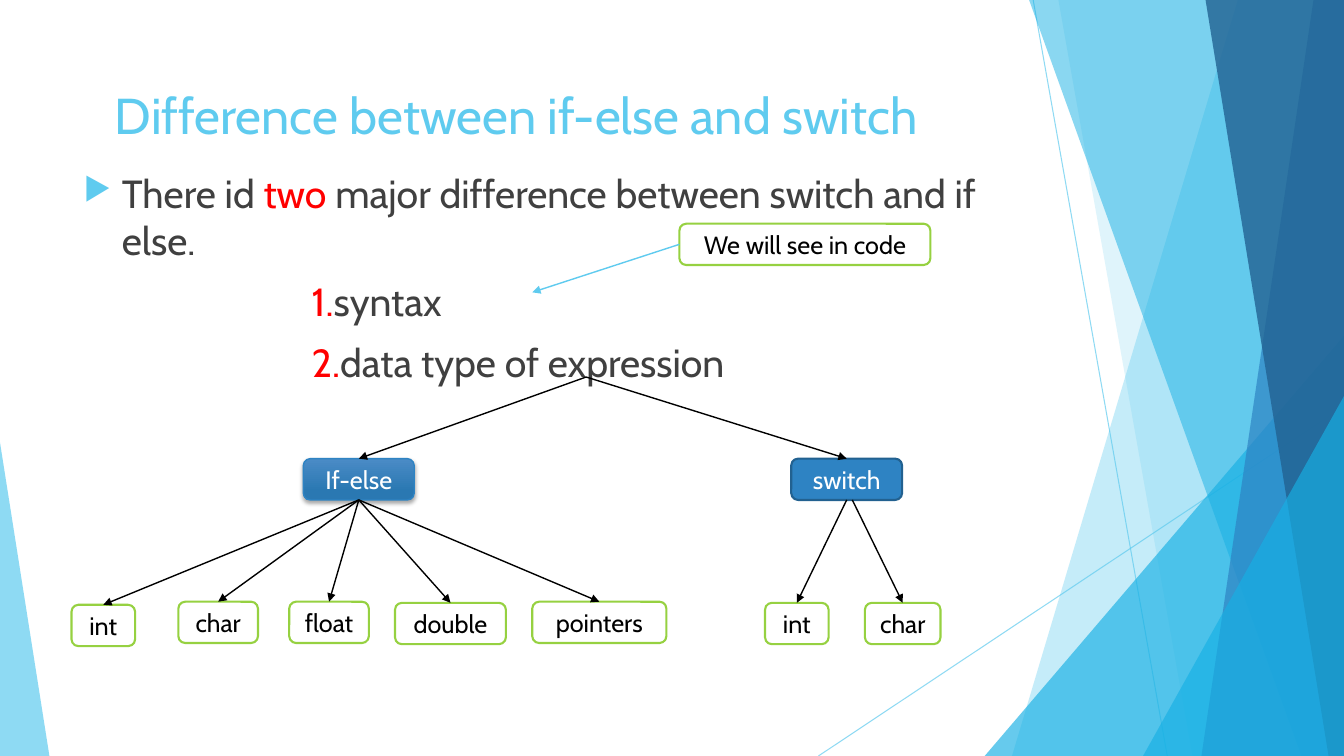
from lxml import etree
from pptx import Presentation
from pptx import util as u
from pptx.dml import color
from pptx.enum import shapes, text
from pptx.oxml import ns

WIDTH, HEIGHT = 960, 540
THEME = {
    "font": "Cabin",
    "title_size": 36, "body_size": 28, "label_size": 18,
    "sky": "5FCBEF", "cyan": "17B0E4", "blue": "2E83C3", "navy": "226292",
    "body": "404040", "accent": "FF0000", "black": "000000", "white": "FFFFFF",
    "green": "96D141", "switch_edge": "226190",
    "gradient": [(0, "4A8BC6"), (0.78, "2A78B2")],
}

TITLE = ("Difference between if-else and switch", (74.9, 56.2, 676.8, 61.2))
BODY_FRAME = (52.6, 117.4, 676.8, 393.8)
BODY = [
    (27.4, -27.4, "▶", [("There id ", "body"), ("two ", "accent"),
                        ("major difference between switch and if else.", "body")]),
    (163, 0, None, [("1.", "accent"), ("syntax", "body")]),
    (163, 0, None, [("2.", "accent"), ("data type of expression", "body")]),
]

BOX_HEIGHT = 29.5
CALLOUT = ("We will see in code", 485.3, 159.8, 179.3)
CALLOUT_TARGET = (380.2, 208.8)
TREE_ROOT = (418.7, 269.3)
PARENT_TOP, PARENT_WIDTH = 327.6, 79.2
TREE = [
    ("If-else", 216.7, [("int", 51.1, 432, 45.4, 0), ("char", 127.4, 429.8, 56.9, 0),
                        ("float", 206.6, 429.8, 56.9, 0), ("double", 282.2, 430.6, 79.2, 0),
                        ("pointers", 380.2, 429.8, 95.8, 0)]),
    ("switch", 565.2, [("int", 546.5, 430.6, 45.4, 0), ("char", 617.8, 430.6, 54, 4)]),
]

RAYS = [((738, 0), (833.8, HEIGHT)), ((WIDTH, 290.2), (584.6, HEIGHT))]
BACKDROP = [
    ("band", (884.2, 722.9), "sky", 36),
    ("band", (756, 851.8), "sky", 20),
    ("triangle", (703.4, 239.8, 256.6, 300.2, 1), "cyan", 66),
    ("band", (735.1, 929.5), "cyan", 50),
    ("band", (938.2, 858.2), "blue", 70),
    ("band", (861.1, 949), "navy", 80),
    ("triangle", (816.5, 283, 143.5, 257, 1), "cyan", 66),
    ("triangle", (0, 316.1, 35.3, 223.9, 0), "sky", 70),
]


def pts(*lengths):
    return [u.Pt(length) for length in lengths]


def rgb(name):
    return color.RGBColor.from_string(THEME.get(name, name))


def add_xml(parent, tag, **attributes):
    return etree.SubElement(parent, ns.qn(tag), **attributes)


def set_alpha(element, percent):
    for swatch in element.iter(ns.qn("a:srgbClr")):
        add_xml(swatch, "a:alpha", val=str(percent * 1000))


def add_run(paragraph, words, size, tint):
    run = paragraph.add_run()
    run.text = words
    run.font.name = THEME["font"]
    run.font.size = u.Pt(THEME[size])
    run.font.color.rgb = rgb(tint)


def add_line(slide, start, end, tint, weight, arrow=True):
    line = slide.shapes.add_connector(shapes.MSO_CONNECTOR.STRAIGHT, *pts(*start, *end))
    line.line.color.rgb = rgb(tint)
    line.line.width = u.Pt(weight)
    if arrow:
        add_xml(line.line._get_or_add_ln(), "a:tailEnd", type="triangle")
    add_xml(line._element.spPr, "a:effectLst")
    return line


def add_frame(slide, place):
    frame = slide.shapes.add_textbox(*pts(*place)).text_frame
    frame.word_wrap = True
    return frame


def add_box(slide, words, left, top, width, fill="white", edge="green", tint="black"):
    box = slide.shapes.add_shape(shapes.MSO_SHAPE.ROUNDED_RECTANGLE,
                                 *pts(left, top, width, BOX_HEIGHT))
    box.shadow.inherit = False
    box.fill.solid()
    box.fill.fore_color.rgb = rgb(fill)
    box.line.color.rgb = rgb(edge)
    box.line.width = u.Pt(1.5)
    box.text_frame.vertical_anchor = text.MSO_ANCHOR.MIDDLE
    label = box.text_frame.paragraphs[0]
    label.alignment = text.PP_ALIGN.CENTER
    add_run(label, words, "label_size", tint)
    return box


def raise_box(box):
    box.line.width = u.Pt(1)
    box.fill.gradient()
    box.fill.gradient_angle = 270
    for stop, (position, tint) in zip(box.fill.gradient_stops, THEME["gradient"]):
        stop.position = position
        stop.color.rgb = rgb(tint)
    effects = box._element.spPr.find(ns.qn("a:effectLst"))
    shadow = add_xml(effects, "a:outerShdw", blurRad=str(u.Pt(3)), dist=str(u.Pt(2)),
                     dir="5400000", rotWithShape="0")
    add_xml(shadow, "a:srgbClr", val=THEME["black"])
    set_alpha(shadow, 35)


def draw_backdrop(slide):
    for start, end in RAYS:
        ray = add_line(slide, start, end, "sky", 0.75, arrow=False)
        set_alpha(ray._element.spPr, 70)
    for kind, place, tint, opacity in BACKDROP:
        if kind == "band":
            top_left, bottom_left = place
            outline = slide.shapes.build_freeform(*pts(top_left, 0), scale=1.0)
            corners = [(WIDTH, 0), (WIDTH, HEIGHT), (bottom_left, HEIGHT)]
            outline.add_line_segments([pts(*corner) for corner in corners], close=True)
            panel = outline.convert_to_shape()
        else:
            panel = slide.shapes.add_shape(shapes.MSO_SHAPE.ISOSCELES_TRIANGLE,
                                           *pts(*place[:4]))
            panel.adjustments[0] = place[4]
        panel.shadow.inherit = False
        panel.fill.solid()
        panel.fill.fore_color.rgb = rgb(tint)
        set_alpha(panel._element.spPr, opacity)
        panel.line.fill.background()


def write_text(slide):
    words, place = TITLE
    add_run(add_frame(slide, place).paragraphs[0], words, "title_size", "sky")
    body = add_frame(slide, BODY_FRAME)
    for index, (margin, indent, bullet, runs) in enumerate(BODY):
        paragraph = body.add_paragraph() if index else body.paragraphs[0]
        paragraph.space_before = u.Pt(10)
        props = paragraph._p.get_or_add_pPr()
        props.set("marL", str(u.Pt(margin)))
        props.set("indent", str(u.Pt(indent)))
        if bullet:
            add_xml(add_xml(props, "a:buClr"), "a:srgbClr", val=THEME["sky"])
            add_xml(props, "a:buSzPct", val="80000")
            add_xml(props, "a:buChar", char=bullet)
        for words, tint in runs:
            add_run(paragraph, words, "body_size", tint)


def draw_tree(slide):
    callout = add_box(slide, *CALLOUT)
    pointer = add_line(slide, CALLOUT[1:3], CALLOUT_TARGET, "sky", 1)
    pointer.begin_connect(callout, 1)
    for name, left, children in TREE:
        raised = name == "If-else"
        parent = add_box(slide, name, left, PARENT_TOP, PARENT_WIDTH, "blue",
                         "blue" if raised else "switch_edge", "white")
        if raised:
            raise_box(parent)
        middle = left + PARENT_WIDTH / 2
        branch = add_line(slide, TREE_ROOT, (middle, PARENT_TOP), "black", 1)
        branch.end_connect(parent, 0)
        for words, child_left, top, width, shift in children:
            child = add_box(slide, words, child_left, top, width)
            start = (middle + shift, PARENT_TOP + BOX_HEIGHT)
            twig = add_line(slide, start, (child_left + width / 2, top), "black", 1)
            if not shift:
                twig.begin_connect(parent, 2)
            twig.end_connect(child, 0)


def main():
    deck = Presentation()
    deck.slide_width, deck.slide_height = pts(WIDTH, HEIGHT)
    slide = deck.slides.add_slide(deck.slide_layouts[6])
    draw_backdrop(slide)
    write_text(slide)
    draw_tree(slide)
    deck.save("out.pptx")


if __name__ == "__main__":
    main()
